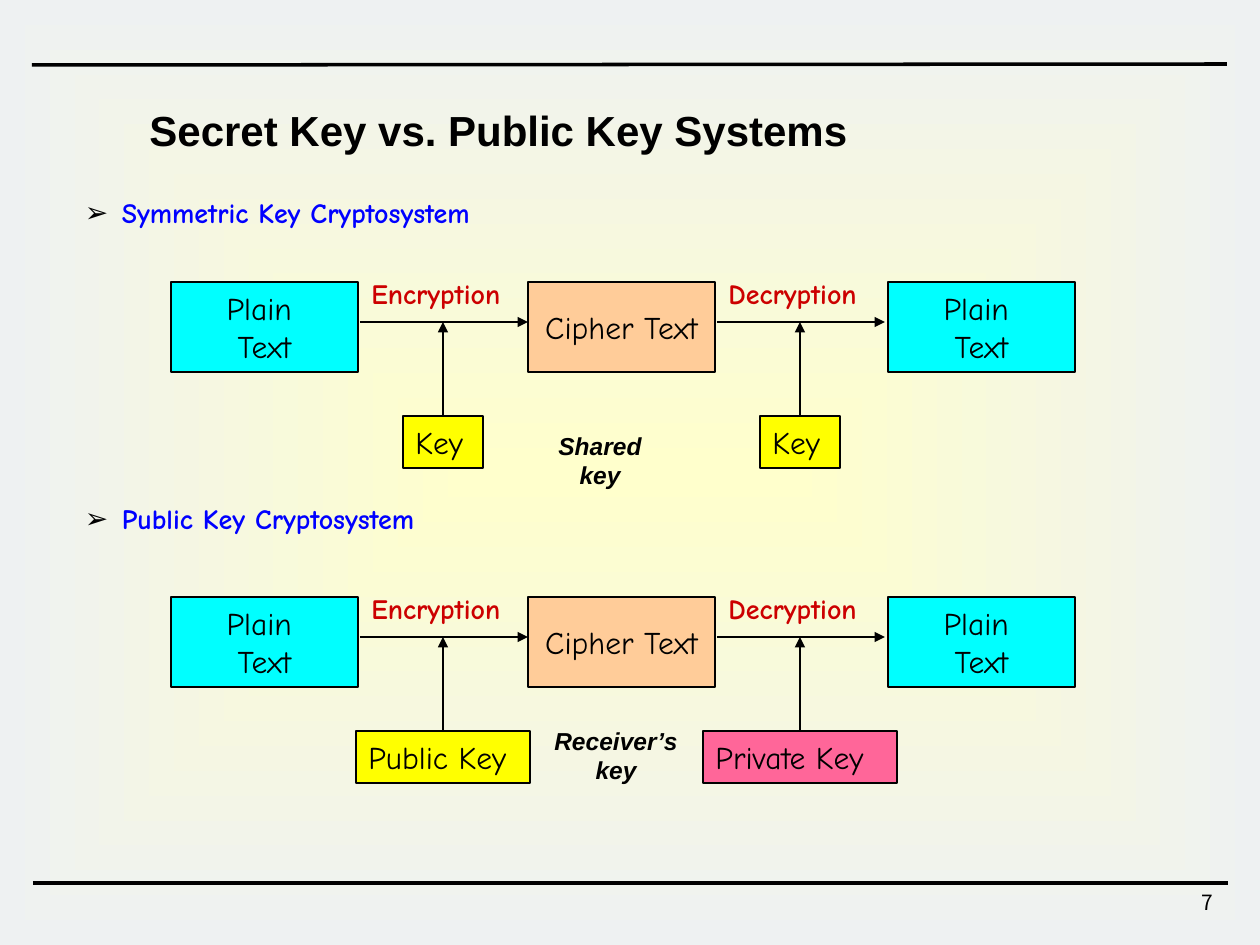
"""Build a slide comparing secret key and public key systems."""
from dataclasses import dataclass

from lxml.etree import SubElement
from pptx import Presentation
from pptx.dml.color import RGBColor
from pptx.enum.shapes import MSO_CONNECTOR, MSO_SHAPE
from pptx.enum.text import MSO_ANCHOR, PP_ALIGN
from pptx.oxml.ns import qn
from pptx.shapes.autoshape import Shape
from pptx.shapes.connector import Connector
from pptx.slide import Slide
from pptx.util import Emu, Pt

COLORS = {
    "black": "000000", "blue": "0000FF", "red": "CC0000", "cyan": "00FFFF",
    "peach": "FFCC99", "yellow": "FFFF00", "pink": "FF6699",
    "center": "FFFFCC", "edge": "EEF1F2",
}
WIDTH, HEIGHT = 1260, 945
BLOCK_WIDTH, BLOCK_HEIGHT = 187, 90
KEY_HEIGHT = 52
ENCRYPT_X, DECRYPT_X = 443, 800


@dataclass(frozen=True)
class Style:
    font: str
    size: int
    color: str = "black"
    bold: bool = False
    italic: bool = False
    align: PP_ALIGN = PP_ALIGN.LEFT


@dataclass(frozen=True)
class Block:
    text: str
    left: int
    fill: str


@dataclass(frozen=True)
class Step:
    text: str
    label_left: int
    start: int
    end: int


@dataclass(frozen=True)
class Key:
    text: str
    center: int
    width: int
    fill: str


@dataclass(frozen=True)
class Note:
    text: str
    left: int
    top: int
    width: int


@dataclass(frozen=True)
class Cryptosystem:
    heading: str
    heading_top: int
    top: int
    keys: tuple[Key, Key]
    note: Note


TITLE = Style("Arial", 24, bold=True)
HEADING = Style("Comic Neue", 16, "blue", bold=True)
STEP = Style("Comic Neue", 16, "red", bold=True)
BLOCK = Style("Comic Neue", 18, align=PP_ALIGN.CENTER)
KEY = Style("Comic Neue", 18)
NOTE = Style("Arial", 14, bold=True, italic=True, align=PP_ALIGN.CENTER)
PAGE = Style("Noto Sans CJK KR", 12, align=PP_ALIGN.RIGHT)

BLOCKS = (
    Block("Plain \nText", 171, "cyan"),
    Block("Cipher Text", 528, "peach"),
    Block("Plain \nText", 888, "cyan"),
)
STEPS = (
    Step("Encryption", 359, 360, 528),
    Step("Decryption", 716, 717, 885),
)
SYSTEMS = (
    Cryptosystem(
        "Symmetric Key Cryptosystem", 196, 282,
        (Key("Key", ENCRYPT_X, 80, "yellow"), Key("Key", DECRYPT_X, 80, "yellow")),
        Note("Shared key", 548, 431, 104),
    ),
    Cryptosystem(
        "Public Key Cryptosystem", 502, 597,
        (Key("Public Key", ENCRYPT_X, 174, "yellow"),
         Key("Private Key", DECRYPT_X, 194, "pink")),
        Note("Receiver’s\nkey", 551, 726, 130),
    ),
)


def px(length: int) -> Emu:
    """Turn slide pixels into EMU."""
    return Emu(round(length * 914400 / 126))


def rgb(name: str) -> RGBColor:
    """Look up a named colour."""
    return RGBColor.from_string(COLORS[name])


def write(shape: Shape, text: str, style: Style) -> None:
    """Set and format the text of a shape."""
    frame = shape.text_frame
    frame.word_wrap = True
    frame.text = text
    for paragraph in frame.paragraphs:
        paragraph.alignment = style.align
        for run in paragraph.runs:
            font = run.font
            font.name, font.size = style.font, Pt(style.size)
            font.bold, font.italic = style.bold, style.italic
            font.color.rgb = rgb(style.color)


def add_text(slide: Slide, text: str, style: Style, left: int, top: int,
             width: int, height: int, inset: bool = True) -> Shape:
    """Add a text box, with or without inner margins."""
    box = slide.shapes.add_textbox(px(left), px(top), px(width), px(height))
    write(box, text, style)
    if not inset:
        frame = box.text_frame
        frame.margin_left = frame.margin_right = 0
        frame.margin_top = frame.margin_bottom = 0
    return box


def add_box(slide: Slide, text: str, style: Style, fill: str, left: int,
            top: int, width: int, height: int) -> Shape:
    """Add an outlined rectangle with text."""
    box = slide.shapes.add_shape(
        MSO_SHAPE.RECTANGLE, px(left), px(top), px(width), px(height))
    box.shadow.inherit = False
    box.fill.solid()
    box.fill.fore_color.rgb = rgb(fill)
    box.line.color.rgb = rgb("black")
    box.line.width = Pt(0.75)
    box.text_frame.vertical_anchor = MSO_ANCHOR.MIDDLE
    write(box, text, style)
    return box


def add_line(slide: Slide, start: tuple[int, int], end: tuple[int, int],
             width: float = 0.75, arrow: bool = True) -> Connector:
    """Add a straight black line, with an arrowhead at its end if wanted."""
    line = slide.shapes.add_connector(
        MSO_CONNECTOR.STRAIGHT, *map(px, start), *map(px, end))
    line.line.color.rgb = rgb("black")
    line.line.width = Pt(width)
    if arrow:
        SubElement(line.line._get_or_add_ln(), qn("a:tailEnd"), type="triangle")
    SubElement(line._element.spPr, qn("a:effectLst"))
    return line


def add_backdrop(slide: Slide) -> None:
    """Cover the slide with a gradient running from its center to its edges."""
    backdrop = slide.shapes.add_shape(
        MSO_SHAPE.RECTANGLE, 0, 0, px(WIDTH), px(HEIGHT))
    backdrop.shadow.inherit = False
    backdrop.line.fill.background()
    backdrop.fill.gradient()
    for stop, name in zip(backdrop.fill.gradient_stops, ("center", "edge")):
        stop.color.rgb = rgb(name)
    gradient = backdrop._element.spPr.find(qn("a:gradFill"))
    gradient.remove(gradient.find(qn("a:lin")))
    shading = SubElement(gradient, qn("a:path"), path="shape")
    SubElement(shading, qn("a:fillToRect"), l="50000", t="50000", r="50000", b="50000")


def add_heading(slide: Slide, text: str, top: int) -> None:
    """Add a heading with a black arrow bullet."""
    heading = add_text(slide, text, HEADING, 85, top, 1126, 36, inset=False)
    properties = heading.text_frame.paragraphs[0]._p.get_or_add_pPr()
    properties.set("marL", str(px(37)))
    properties.set("indent", str(-px(37)))
    color = SubElement(properties, qn("a:buClr"))
    SubElement(color, qn("a:srgbClr"), val=COLORS["black"])
    SubElement(properties, qn("a:buFont"), typeface="Arial")
    SubElement(properties, qn("a:buChar"), char="➢")


def add_system(slide: Slide, system: Cryptosystem) -> None:
    """Draw one cryptosystem: heading, blocks, steps, keys and note."""
    add_heading(slide, system.heading, system.heading_top)
    for block in BLOCKS:
        add_box(slide, block.text, BLOCK, block.fill, block.left, system.top,
                BLOCK_WIDTH, BLOCK_HEIGHT)
    flow_y, key_top = system.top + 40, system.top + 134
    for step, key in zip(STEPS, system.keys):
        add_line(slide, (step.start, flow_y), (step.end, flow_y))
        add_text(slide, step.text, STEP, step.label_left, system.top - 12, 170, 47)
        key_box = add_box(slide, key.text, KEY, key.fill, key.center - key.width // 2,
                          key_top, key.width, KEY_HEIGHT)
        key_arrow = add_line(slide, (key.center, key_top), (key.center, flow_y))
        key_arrow.begin_connect(key_box, 0)
    note = system.note
    add_text(slide, note.text, NOTE, note.left, note.top, note.width, 59, inset=False)


def main() -> None:
    """Build and save the slide."""
    deck = Presentation()
    deck.slide_width, deck.slide_height = px(WIDTH), px(HEIGHT)
    slide = deck.slides.add_slide(deck.slide_layouts[6])
    add_backdrop(slide)
    add_line(slide, (32, 65), (1227, 64), 2, arrow=False)
    add_line(slide, (33, 883), (1228, 883), 2, arrow=False)
    add_text(slide, "7", PAGE, 964, 883, 262, 42)
    add_text(slide, "Secret Key vs. Public Key Systems", TITLE, 137, 98, 740, 63)
    for system in SYSTEMS:
        add_system(slide, system)
    deck.save("out.pptx")


if __name__ == "__main__":
    main()
